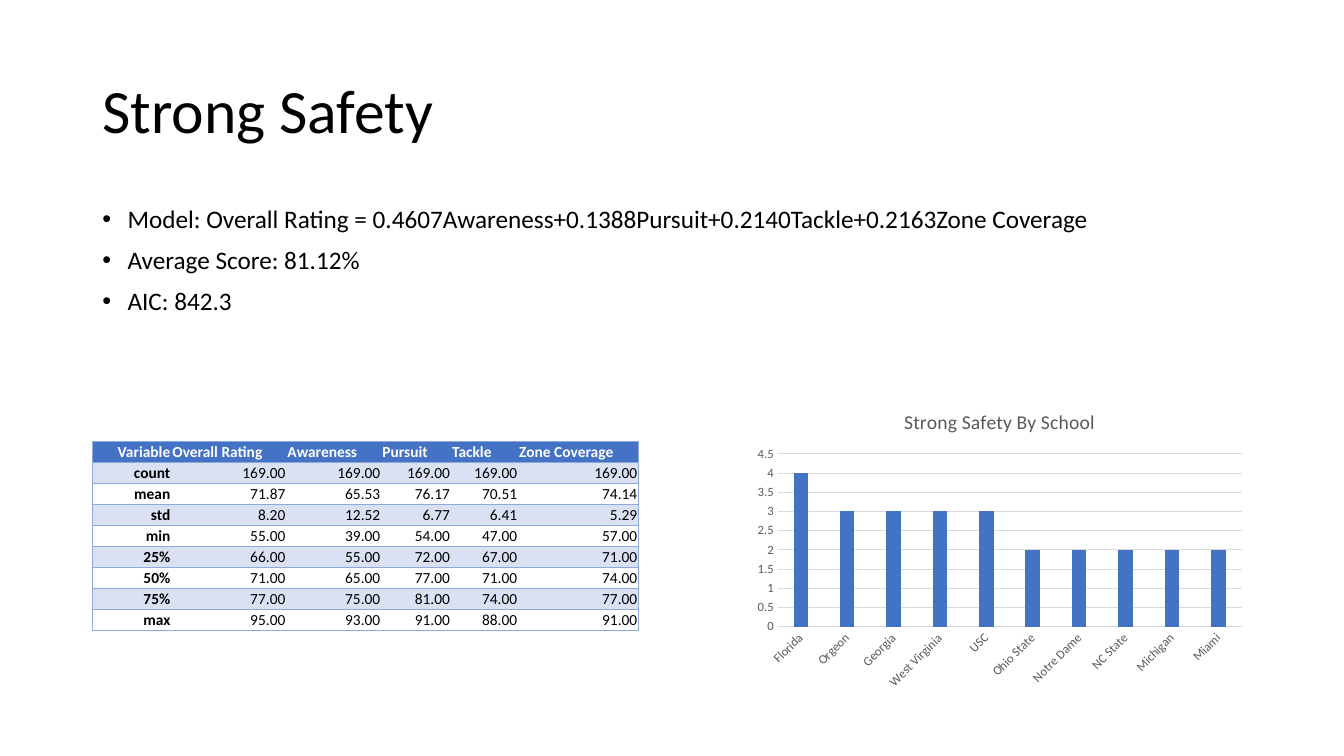
"""Build the Strong Safety slide: rating model, summary statistics and players by school."""
from dataclasses import dataclass

from lxml import etree
from pptx import Presentation
from pptx.chart.data import CategoryChartData
from pptx.dml.color import RGBColor
from pptx.enum.chart import XL_CHART_TYPE, XL_TICK_MARK
from pptx.enum.text import MSO_ANCHOR, PP_ALIGN
from pptx.oxml.ns import qn
from pptx.util import Inches, Pt

COLUMNS = XL_CHART_TYPE.COLUMN_CLUSTERED
NO_TICK = XL_TICK_MARK.NONE
MIDDLE, BOTTOM = MSO_ANCHOR.MIDDLE, MSO_ANCHOR.BOTTOM
LEFT, RIGHT = PP_ALIGN.LEFT, PP_ALIGN.RIGHT
NO_STYLE = "{2D5ABB26-0587-4C30-8999-92F81FD0307C}"


@dataclass(frozen=True)
class Theme:
    font: str = "Calibri"
    ink: str = "000000"
    paper: str = "FFFFFF"
    accent: str = "4472C4"
    band: str = "D9E1F2"
    border: str = "8EA9DB"
    muted: str = "595959"
    grid: str = "D9D9D9"
    title: int = 44
    body: int = 18
    chart_title: int = 14
    cell: int = 11
    axis: int = 9


theme = Theme()


def style(font, size, color, bold=False):
    font.name, font.size, font.bold = theme.font, Pt(size), bold
    font.color.rgb = RGBColor.from_string(color)


def add_run(paragraph, text, size, color, bold=False):
    run = paragraph.add_run()
    run.text = text
    style(run.font, size, color, bold)


deck = Presentation()
deck.slide_width, deck.slide_height = Inches(13.33), Inches(7.5)
slide = deck.slides.add_slide(deck.slide_layouts[6])
col, row = deck.slide_width / 160, deck.slide_height / 90
margin, content_width = int(11 * col), int(138 * col)

heading = slide.shapes.add_textbox(margin, int(4.8 * row), content_width, int(17.4 * row)).text_frame
heading.word_wrap, heading.vertical_anchor = True, MIDDLE
heading.paragraphs[0].line_spacing = 0.9
add_run(heading.paragraphs[0], "Strong Safety", theme.title, theme.ink)

findings = [
    "Model: Overall Rating = 0.4607Awareness+0.1388Pursuit+0.2140Tackle+0.2163Zone Coverage",
    "Average Score: 81.12%",
    "AIC: 842.3",
]
summary = slide.shapes.add_textbox(margin, int(24 * row), content_width, int(57.1 * row)).text_frame
summary.word_wrap = True
for index, finding in enumerate(findings):
    point = summary.add_paragraph() if index else summary.paragraphs[0]
    point.line_spacing, point.space_before = 0.9, Pt(10)
    add_run(point, finding, theme.body, theme.ink)
    properties = point._p.get_or_add_pPr()
    properties.set("marL", str(int(3 * col)))
    properties.set("indent", str(-int(3 * col)))
    etree.SubElement(properties, qn("a:buFont"), typeface="Arial")
    etree.SubElement(properties, qn("a:buChar"), char="•")

schools = {
    "Florida": 4, "Orgeon": 3, "Georgia": 3, "West Virginia": 3, "USC": 3,
    "Ohio State": 2, "Notre Dame": 2, "NC State": 2, "Michigan": 2, "Miami": 2,
}
school_data = CategoryChartData()
school_data.categories = list(schools)
school_data.add_series("Series 1", list(schools.values()))
school_chart = slide.shapes.add_chart(
    COLUMNS, int(89 * col), int(46.8 * row), int(60 * col), int(36 * row), school_data).chart
style(school_chart.font, 10, theme.ink)
school_chart.has_legend = False
school_chart.has_title = True
add_run(school_chart.chart_title.text_frame.paragraphs[0], "Strong Safety By School",
        theme.chart_title, theme.muted)

bars = school_chart.plots[0]
bars.gap_width, bars.overlap, bars.vary_by_categories = 219, -27, False
bar_fill = bars.series[0].format.fill
bar_fill.solid()
bar_fill.fore_color.rgb = RGBColor.from_string(theme.accent)

school_axis, count_axis = school_chart.category_axis, school_chart.value_axis
for axis in (school_axis, count_axis):
    axis.major_tick_mark = axis.minor_tick_mark = NO_TICK
    style(axis.tick_labels.font, theme.axis, theme.muted)
school_axis._element.find(qn("c:txPr")).find(qn("a:bodyPr")).set("rot", "-2700000")
count_axis.minimum_scale, count_axis.maximum_scale, count_axis.major_unit = 0, 4.5, 0.5
count_axis.format.line.fill.background()
for line in (school_axis.format.line, count_axis.major_gridlines.format.line):
    line.width = Pt(0.75)
    line.color.rgb = RGBColor.from_string(theme.grid)

statistics = [
    ["Variable", "Overall Rating", "Awareness", "Pursuit", "Tackle", "Zone Coverage"],
    ["count", 169, 169, 169, 169, 169],
    ["mean", 71.87, 65.53, 76.17, 70.51, 74.14],
    ["std", 8.2, 12.52, 6.77, 6.41, 5.29],
    ["min", 55, 39, 54, 47, 57],
    ["25%", 66, 55, 72, 67, 71],
    ["50%", 71, 65, 77, 71, 74],
    ["75%", 77, 75, 81, 74, 77],
    ["max", 95, 93, 91, 88, 91],
]
column_spans = [9.4, 13.7, 11.3, 8.3, 8, 14.3]
row_span = 2.5
last = len(column_spans) - 1
stats_table = slide.shapes.add_table(
    len(statistics), len(column_spans), margin, int(52.5 * row),
    int(sum(column_spans) * col), int(len(statistics) * row_span * row)).table
stats_table.first_row = stats_table.horz_banding = False
stats_table._tbl.tblPr.find(qn("a:tableStyleId")).text = NO_STYLE
for column, span in zip(stats_table.columns, column_spans):
    column.width = int(span * col)

for r, values in enumerate(statistics):
    stats_table.rows[r].height = int(row_span * row)
    for c, value in enumerate(values):
        cell = stats_table.cell(r, c)
        cell.margin_left = cell.margin_right = cell.margin_top = Inches(0.01)
        cell.margin_bottom = 0
        cell.vertical_anchor = BOTTOM
        entry = cell.text_frame.paragraphs[0]
        entry.alignment = LEFT if r == 0 and c else RIGHT
        add_run(entry, value if isinstance(value, str) else f"{value:.2f}", theme.cell,
                theme.ink if r else theme.paper, r == 0 or c == 0)
        if r and r % 2 == 0:
            cell.fill.background()
        else:
            cell.fill.solid()
            cell.fill.fore_color.rgb = RGBColor.from_string(theme.band if r else theme.accent)
        sides = ["a:lnL"] * (c == 0) + ["a:lnR"] * (c == last) + ["a:lnT", "a:lnB"]
        for position, side in enumerate(sides):
            edge = etree.Element(qn(side), w=str(Pt(0.5)))
            edge_fill = etree.SubElement(edge, qn("a:solidFill"))
            etree.SubElement(edge_fill, qn("a:srgbClr"), val=theme.border)
            cell._tc.get_or_add_tcPr().insert(position, edge)

deck.save("out.pptx")
